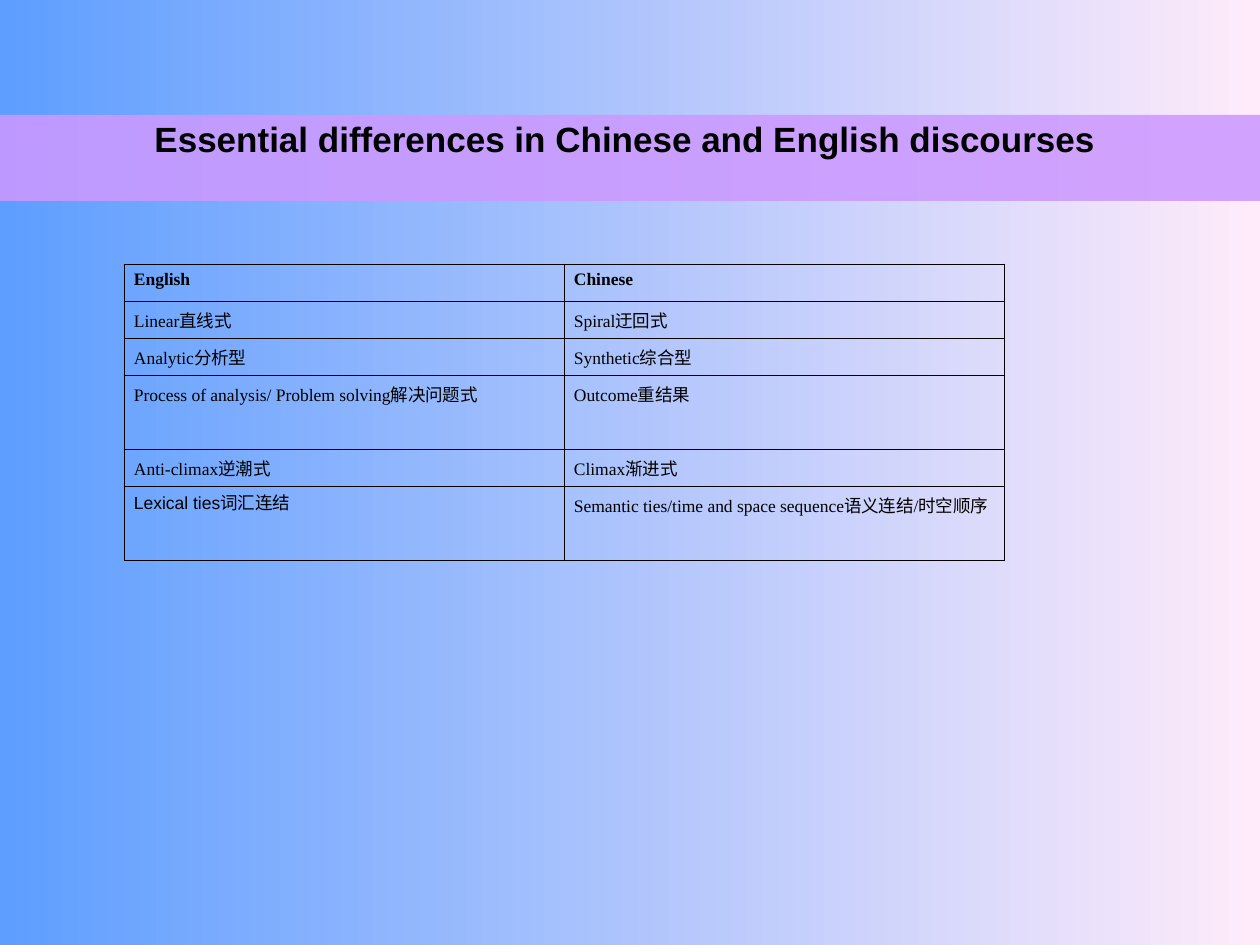
from dataclasses import dataclass

from lxml.etree import SubElement
from pptx import Presentation
from pptx.dml.color import RGBColor
from pptx.enum.shapes import MSO_SHAPE
from pptx.enum.text import MSO_ANCHOR, PP_ALIGN
from pptx.oxml import parse_xml
from pptx.oxml.ns import nsdecls, qn
from pptx.util import Emu, Pt

PX_PER_INCH = 126
BLACK = "000000"
SERIF = "Times New Roman"
SANS = "Arial"


@dataclass
class Entry:
    text: str
    font: str = SERIF
    bold: bool = False
    align: PP_ALIGN = PP_ALIGN.JUSTIFY
    line_points: float | None = None


@dataclass
class Row:
    height: int
    english: Entry
    chinese: Entry


ROWS = [
    Row(37, Entry("English", bold=True), Entry("Chinese", bold=True)),
    Row(37, Entry("Linear直线式"), Entry("Spiral迂回式")),
    Row(37, Entry("Analytic分析型"), Entry("Synthetic综合型")),
    Row(74, Entry("Process of analysis/ Problem solving解决问题式"), Entry("Outcome重结果")),
    Row(37, Entry("Anti-climax逆潮式"), Entry("Climax渐进式")),
    Row(74, Entry("Lexical ties词汇连结", font=SANS, align=PP_ALIGN.LEFT, line_points=12.5),
        Entry("Semantic ties/time and space sequence语义连结/时空顺序")),
]


def px(length: int) -> Emu:
    return Emu(round(length * 914400 / PX_PER_INCH))


def color(value: str) -> RGBColor:
    return RGBColor.from_string(value)


def write_text(frame, text: str, *, size: float, font: str, bold: bool = False,
               align: PP_ALIGN = PP_ALIGN.LEFT, line_points: float | None = None) -> None:
    para = frame.paragraphs[0]
    para.alignment = align
    if line_points:
        para.line_spacing = Pt(line_points)
    span = para.add_run()
    span.text = text
    span.font.size = Pt(size)
    span.font.name = font
    span.font.bold = bold
    span.font.color.rgb = color(BLACK)


def set_margins(holder, horizontal: int, vertical: int) -> None:
    holder.margin_left = holder.margin_right = px(horizontal)
    holder.margin_top = holder.margin_bottom = px(vertical)


def add_borders(cell, points: float) -> None:
    properties = cell._tc.get_or_add_tcPr()
    for position, side in enumerate(("lnL", "lnR", "lnT", "lnB")):
        properties.insert(position, parse_xml(
            f'<a:{side} {nsdecls("a")} w="{Pt(points)}"><a:solidFill>'
            f'<a:srgbClr val="{BLACK}"/></a:solidFill></a:{side}>'))


def paint_background(page) -> None:
    fill = page.background.fill
    fill.gradient()
    fill.gradient_angle = 0
    for stop, value in zip(fill.gradient_stops, ("5E9EFF", "FFEBFA")):
        stop.color.rgb = color(value)


def add_title_band(page) -> None:
    band = page.shapes.add_shape(MSO_SHAPE.RECTANGLE, px(0), px(115), px(1260), px(86))
    band.shadow.inherit = False
    band.line.fill.background()
    band.fill.solid()
    band.fill.fore_color.rgb = color("CC99FF")
    tint = band._element.spPr.find(f".//{qn('a:srgbClr')}")
    SubElement(tint, qn("a:alpha"), val="87000")

    frame = band.text_frame
    frame.word_wrap = False
    frame.vertical_anchor = MSO_ANCHOR.TOP
    set_margins(frame, 13, 3)
    write_text(frame, "Essential differences in Chinese and English discourses ",
               size=20, font=SANS, bold=True, align=PP_ALIGN.CENTER)


def add_comparison_table(page, rows: list[Row]) -> None:
    height = sum(row.height for row in rows)
    table = page.shapes.add_table(len(rows), 2, px(124), px(264), px(880), px(height)).table
    table.first_row = table.horz_banding = False
    for column in table.columns:
        column.width = px(440)
    for index, row in enumerate(rows):
        table.rows[index].height = px(row.height)
        for cell, entry in zip(table.rows[index].cells, (row.english, row.chinese)):
            cell.fill.background()
            add_borders(cell, 0.45)
            set_margins(cell, 10, 6)
            write_text(cell.text_frame, entry.text, size=10, font=entry.font, bold=entry.bold,
                       align=entry.align, line_points=entry.line_points)


def main() -> None:
    deck = Presentation()
    deck.slide_width, deck.slide_height = px(1260), px(945)
    page = deck.slides.add_slide(deck.slide_layouts[6])

    # Background and title
    paint_background(page)
    add_title_band(page)

    # English and Chinese side by side
    add_comparison_table(page, ROWS)

    deck.save("out.pptx")


if __name__ == "__main__":
    main()
